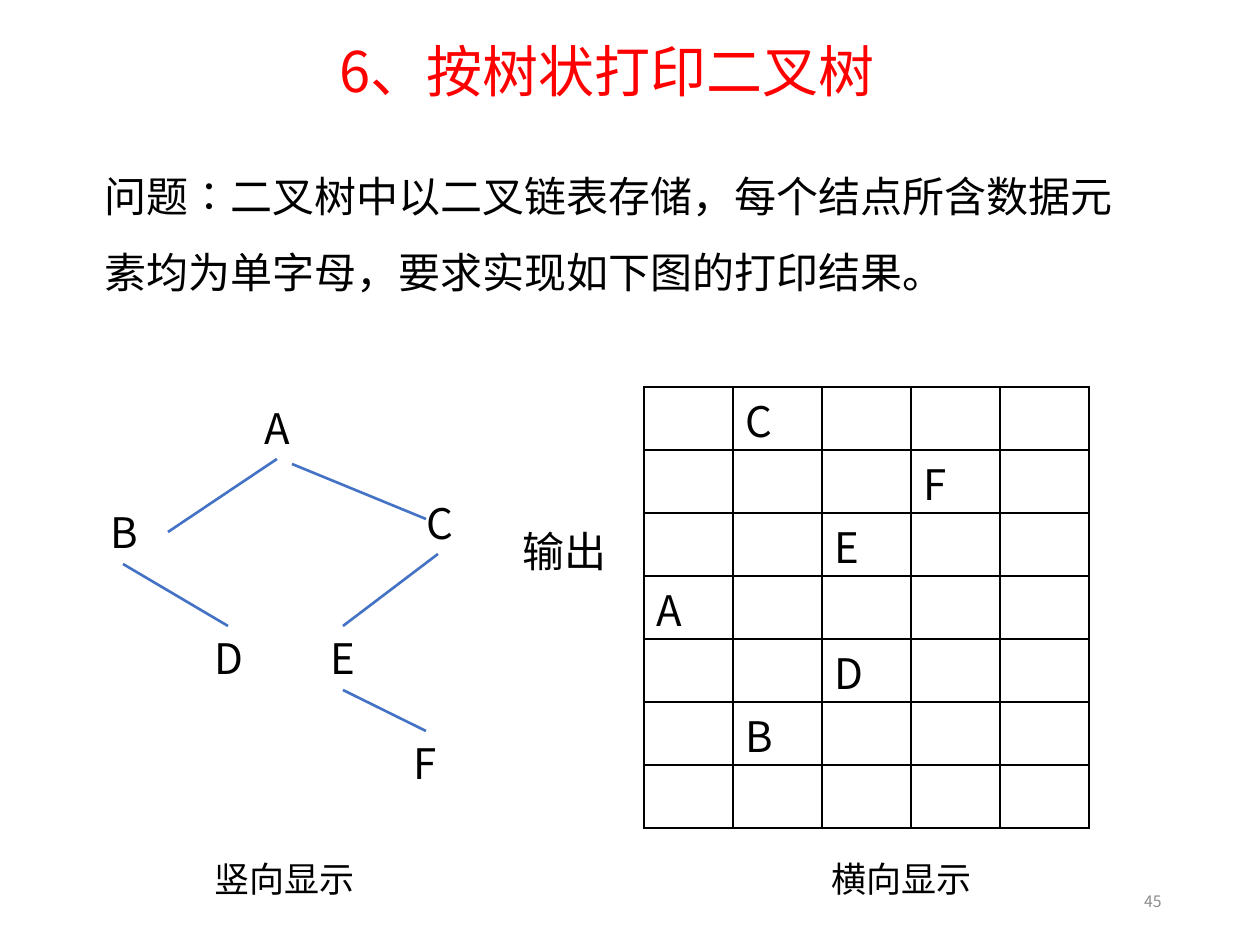
"""Build the slide on printing a binary tree in tree form."""
from lxml import etree
from pptx import Presentation
from pptx import util as u
from pptx.dml.color import RGBColor
from pptx.enum import shapes, text
from pptx.oxml.ns import qn

PX = 914400 / 126
FONT = "Noto Sans CJK SC"


def px(length):
    return u.Emu(round(length * PX))


def write(frame, words, size, color="000000", align=text.PP_ALIGN.LEFT, spacing=1.2):
    frame.text = words
    paragraph = frame.paragraphs[0]
    paragraph.alignment = align
    paragraph.line_spacing = u.Pt(round(size * spacing, 1))
    paragraph.space_before = u.Pt(0)
    properties = paragraph._p.get_or_add_pPr()
    properties.set("marL", "0")
    properties.set("indent", "0")
    etree.SubElement(properties, qn("a:buNone"))
    font = paragraph.font
    font.size = u.Pt(size)
    font.color.rgb = RGBColor.from_string(color)
    font.name = FONT
    etree.SubElement(font._rPr, qn("a:ea"), typeface=FONT)


deck = Presentation()
deck.slide_width, deck.slide_height = px(1260), px(945)
slide = deck.slides.add_slide(deck.slide_layouts[1])

title, problem = slide.placeholders
title.left, title.top, title.width, title.height = px(54), px(-3), px(1106), px(102)
problem.left, problem.top, problem.width, problem.height = px(92), px(139), px(1057), px(156)
for holder in (title, problem):
    holder.text_frame.auto_size = text.MSO_AUTO_SIZE.NONE
    holder.text_frame.vertical_anchor = text.MSO_ANCHOR.TOP
write(title.text_frame, "6、按树状打印二叉树", 32, "FF0000", text.PP_ALIGN.CENTER, 1.8)
write(problem.text_frame,
      "问题∶二叉树中以二叉链表存储，每个结点所含数据元素均为单字母，要求实现如下图的打印结果。",
      24, spacing=1.8)

branches = [
    (277, 459, 168, 532),
    (292, 464, 426, 519),
    (123, 564, 228, 626),
    (438, 554, 343, 626),
    (343, 690, 426, 731),
]
for ends in branches:
    branch = slide.shapes.add_connector(shapes.MSO_CONNECTOR.STRAIGHT, *map(px, ends))
    branch.line.color.rgb = RGBColor.from_string("4472C4")
    branch.line.width = u.Pt(1.5)
    etree.SubElement(branch._element.spPr, qn("a:effectLst"))

nodes = {"A": (234, 396), "B": (81, 500), "C": (396, 491),
         "D": (185, 626), "E": (299, 626), "F": (382, 731)}
for letter, (left, top) in nodes.items():
    node = slide.shapes.add_textbox(px(left), px(top), px(87), px(63))
    node.text_frame.word_wrap = True
    write(node.text_frame, letter, 24, align=text.PP_ALIGN.CENTER)

labels = [
    ("输出", 510, 519, 118, 63, 24),
    ("竖向显示", 202, 851, 166, 55, 20),
    ("横向显示", 819, 851, 166, 55, 20),
]
for words, left, top, width, height, size in labels:
    label = slide.shapes.add_textbox(px(left), px(top), px(width), px(height))
    label.text_frame.word_wrap = size == 24
    write(label.text_frame, words, size)

page = slide.shapes.add_textbox(px(890), px(876), px(284), px(50))
page.text_frame.word_wrap = True
page.text_frame.vertical_anchor = text.MSO_ANCHOR.MIDDLE
write(page.text_frame, "45", 9, "8C8C8C", text.PP_ALIGN.RIGHT)

output_rows = [" C   ", "   F ", "  E  ", "A    ", "  D  ", " B   ", "     "]
output = slide.shapes.add_table(7, 5, px(644), px(387), px(445), px(441)).table
output.first_row = output.horz_banding = False
for column in output.columns:
    column.width = px(89)
for row, letters in zip(output.rows, output_rows):
    row.height = px(63)
    for cell, letter in zip(row.cells, letters):
        cell.margin_top, cell.margin_bottom = px(12), 0
        write(cell.text_frame, letter.strip(), 24)
        borders = cell._tc.get_or_add_tcPr()
        for side in ("a:lnL", "a:lnR", "a:lnT", "a:lnB"):
            border = etree.SubElement(borders, qn(side), w=str(u.Pt(1)))
            fill = etree.SubElement(border, qn("a:solidFill"))
            etree.SubElement(fill, qn("a:srgbClr"), val="000000")
        cell.fill.background()

deck.save("out.pptx")
